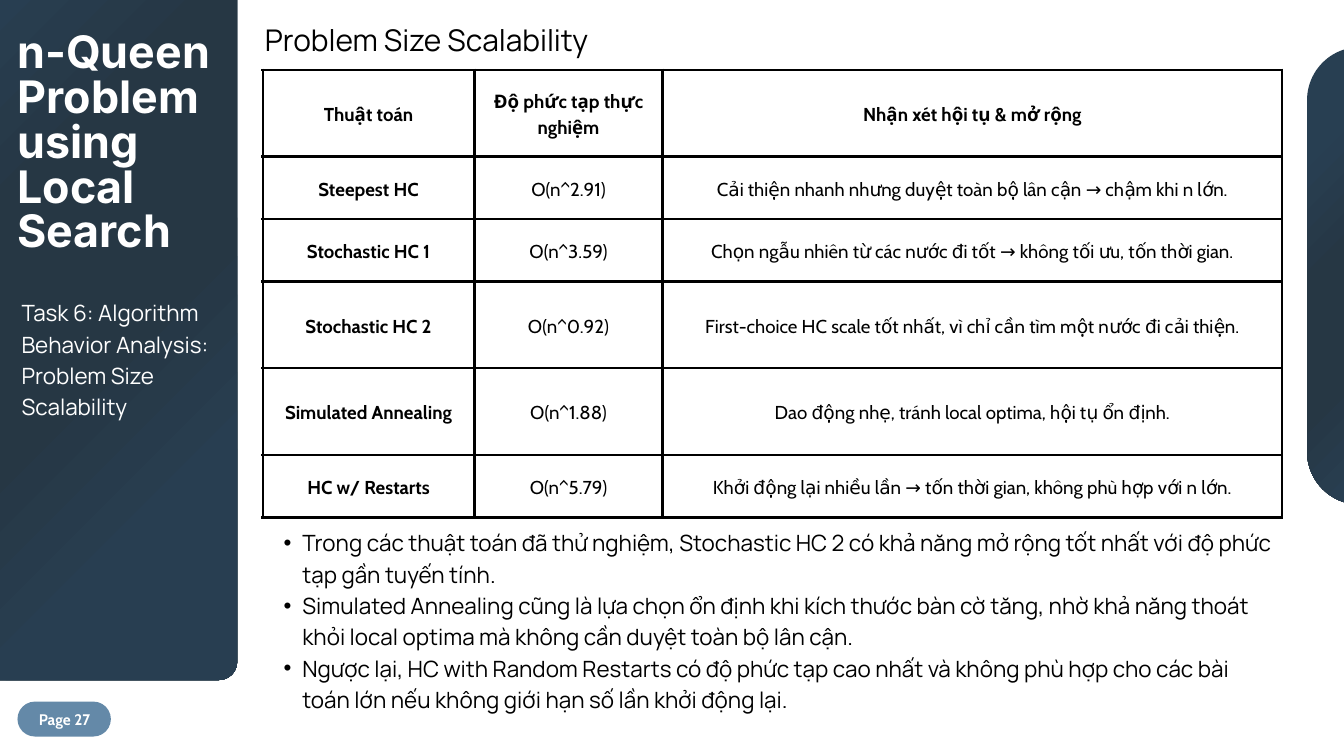
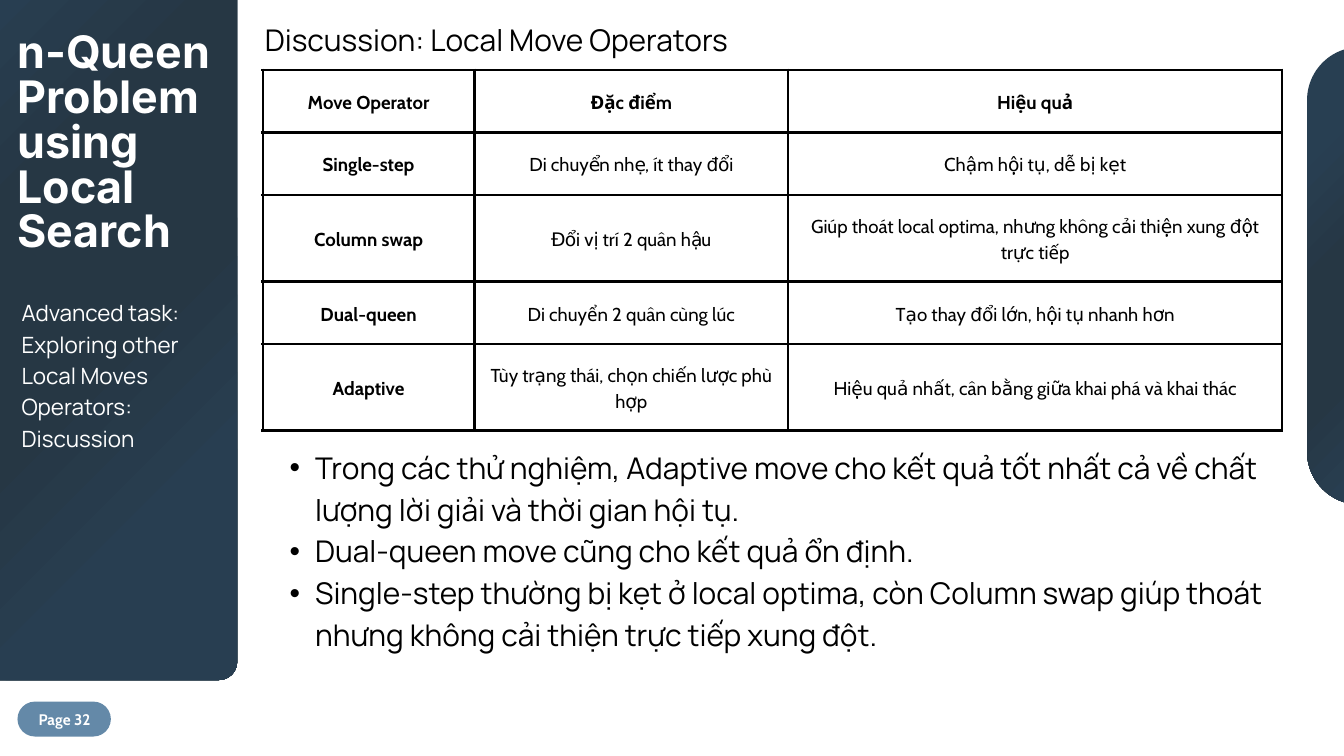
from lxml.etree import SubElement
from pptx import Presentation
from pptx.dml.color import RGBColor
from pptx.enum.shapes import MSO_SHAPE
from pptx.enum.text import MSO_ANCHOR, MSO_AUTO_SIZE, PP_ALIGN
from pptx.oxml.ns import qn
from pptx.util import Pt

SCALE = 9144
BLACK = RGBColor(0x00, 0x00, 0x00)
WHITE = RGBColor(0xFF, 0xFF, 0xFF)
PILL = RGBColor(0x64, 0x89, 0xA8)
NAVY = RGBColor(0x28, 0x3F, 0x52)
DEEP = RGBColor(0x28, 0x3E, 0x51)
DARK = RGBColor(0x26, 0x37, 0x44)
BLEND = [NAVY, DEEP, DARK, DARK, DEEP, DEEP]

HEAD = "n-Queen Problem using Local Search"
LEAD = 1.4
PAD = 21
EDGE = 3
LEFT = 391
TOP = 104


def px(count):
    return round(count * SCALE)


def add_round(slide, box, radius):
    shape = slide.shapes.add_shape(MSO_SHAPE.ROUNDED_RECTANGLE, *map(px, box))
    shape.adjustments[0] = radius / min(box[2:])
    shape.shadow.inherit = False
    shape.line.fill.background()
    return shape


def add_band(slide, box, radius):
    shape = add_round(slide, box, radius)
    shape.fill.gradient()
    shape.fill.gradient_angle = 315
    stops = shape.fill._xPr.find(".//" + qn("a:gsLst"))
    for stop in list(stops):
        stops.remove(stop)
    for i, color in enumerate(BLEND):
        stop = SubElement(stops, qn("a:gs"), pos=str(i * 20000))
        SubElement(stop, qn("a:srgbClr"), val=str(color))


def add_run(par, text, font, size, color, bold=False, lead=LEAD):
    par.line_spacing = Pt(size * lead)
    run = par.add_run()
    run.text = text
    run.font.name = font
    run.font.size = Pt(size)
    run.font.bold = bold
    run.font.color.rgb = color


def add_bullet(par, size):
    margin = round(size * 19 / 8)
    par.level = 1
    props = par._p.get_or_add_pPr()
    props.set("marL", str(px(margin)))
    props.set("indent", str(px(round(-margin / 2))))
    SubElement(props, qn("a:buFont"), typeface="Arial")
    SubElement(props, qn("a:buChar"), char="•")


def add_text(slide, box, lines, font, size, color, bold=False,
             lead=LEAD, align=PP_ALIGN.LEFT, bullet=False):
    frame = slide.shapes.add_textbox(*map(px, box)).text_frame
    frame.word_wrap = True
    frame.auto_size = MSO_AUTO_SIZE.SHAPE_TO_FIT_TEXT
    frame.margin_left = frame.margin_right = 0
    frame.margin_top = frame.margin_bottom = 0
    for i, line in enumerate(lines):
        par = frame.add_paragraph() if i else frame.paragraphs[0]
        if bullet:
            add_bullet(par, size)
        par.alignment = align
        add_run(par, line, font, size, color, bold, lead)


def add_edges(cell):
    props = cell._tc.get_or_add_tcPr()
    for side in ("L", "R", "T", "B"):
        line = SubElement(props, qn("a:ln" + side), w=str(Pt(EDGE)))
        fill = SubElement(line, qn("a:solidFill"))
        SubElement(fill, qn("a:srgbClr"), val=str(BLACK))


def add_cell(cell, text, bold):
    add_edges(cell)
    cell.fill.background()
    cell.vertical_anchor = MSO_ANCHOR.MIDDLE
    cell.margin_left = cell.margin_right = px(PAD)
    cell.margin_top = cell.margin_bottom = px(PAD)
    par = cell.text_frame.paragraphs[0]
    par.alignment = PP_ALIGN.CENTER
    add_run(par, text, "Cabin", 20, BLACK, bold)


def add_grid(slide, wides, highs, rows):
    box = (LEFT, TOP, sum(wides), sum(highs))
    table = slide.shapes.add_table(
        len(rows), len(wides), *map(px, box)).table
    table.first_row = table.horz_banding = False
    for col, wide in zip(table.columns, wides):
        col.width = px(wide)
    for r, (high, row) in enumerate(zip(highs, rows)):
        table.rows[r].height = px(high)
        for c, text in enumerate(row):
            add_cell(table.cell(r, c), text, r == 0 or c == 0)


def add_page(deck, page, task, title, grid, notes, top, size):
    slide = deck.slides.add_slide(deck.slide_layouts[6])
    add_band(slide, (-301, -54, 654, 1066), 27)
    add_band(slide, (1945, 70, 229, 681), 79)
    pill = add_round(slide, (26, 1044, 139, 52), 26)
    pill.fill.solid()
    pill.fill.fore_color.rgb = PILL
    add_grid(slide, *grid)
    add_text(slide, (26, 49, 311, 337), [HEAD], "Inter", 48, WHITE,
             bold=True, lead=1)
    add_text(slide, (34, 1053, 124, 30), [f"Page {page}"], "Cabin", 16.4,
             WHITE, bold=True, align=PP_ALIGN.CENTER)
    add_text(slide, (32, 439, 301, 184), task, "Manrope", 24, WHITE)
    add_text(slide, (394, 23, 778, 62), [title], "Manrope", 32, BLACK)
    add_text(slide, (393, top, 1513, 276), notes, "Manrope", size, BLACK,
             bullet=True)


def main():
    deck = Presentation()
    deck.slide_width = px(2000)
    deck.slide_height = px(1125)

    growth = [
        ("Thuật toán", "Độ phức tạp thực nghiệm", "Nhận xét hội tụ & mở rộng"),
        ("Steepest HC", "O(n^2.91)",
         "Cải thiện nhanh nhưng duyệt toàn bộ lân cận → chậm khi n lớn."),
        ("Stochastic HC 1", "O(n^3.59)",
         "Chọn ngẫu nhiên từ các nước đi tốt → không tối ưu, tốn thời gian."),
        ("Stochastic HC 2", "O(n^0.92)",
         "First-choice HC scale tốt nhất, vì chỉ cần tìm một nước đi cải thiện."),
        ("Simulated Annealing", "O(n^1.88)",
         "Dao động nhẹ, tránh local optima, hội tụ ổn định."),
        ("HC w/ Restarts", "O(n^5.79)",
         "Khởi động lại nhiều lần → tốn thời gian, không phù hợp với n lớn."),
    ]
    add_page(
        deck, 27,
        ["Task 6: Algorithm Behavior Analysis: Problem Size Scalability"],
        "Problem Size Scalability",
        ([315, 280, 922], [129, 93, 93, 129, 129, 93], growth),
        ["Trong các thuật toán đã thử nghiệm, Stochastic HC 2 có khả năng "
         "mở rộng tốt nhất với độ phức tạp gần tuyến tính.",
         "Simulated Annealing cũng là lựa chọn ổn định khi kích thước bàn cờ "
         "tăng, nhờ khả năng thoát khỏi local optima mà không cần duyệt "
         "toàn bộ lân cận.",
         "Ngược lại, HC with Random Restarts có độ phức tạp cao nhất và không "
         "phù hợp cho các bài toán lớn nếu không giới hạn số lần khởi động lại."],
        781, 24)

    moves = [
        ("Move Operator", "Đặc điểm", "Hiệu quả"),
        ("Single-step", "Di chuyển nhẹ, ít thay đổi", "Chậm hội tụ, dễ bị kẹt"),
        ("Column swap", "Đổi vị trí 2 quân hậu",
         "Giúp thoát local optima, nhưng không cải thiện xung đột trực tiếp"),
        ("Dual-queen", "Di chuyển 2 quân cùng lúc",
         "Tạo thay đổi lớn, hội tụ nhanh hơn"),
        ("Adaptive", "Tùy trạng thái, chọn chiến lược phù hợp",
         "Hiệu quả nhất, cân bằng giữa khai phá và khai thác"),
    ]
    add_page(
        deck, 32,
        ["Advanced task: Exploring other Local Moves Operators:", "Discussion"],
        "Discussion: Local Move Operators",
        ([315, 467, 735], [93, 93, 129, 93, 129], moves),
        ["Trong các thử nghiệm, Adaptive move cho kết quả tốt nhất cả về chất "
         "lượng lời giải và thời gian hội tụ.",
         "Dual-queen move cũng cho kết quả ổn định.",
         "Single-step thường bị kẹt ở local optima, còn Column swap giúp thoát "
         "nhưng không cải thiện trực tiếp xung đột."],
        660, 32)

    deck.save("out.pptx")


if __name__ == "__main__":
    main()
